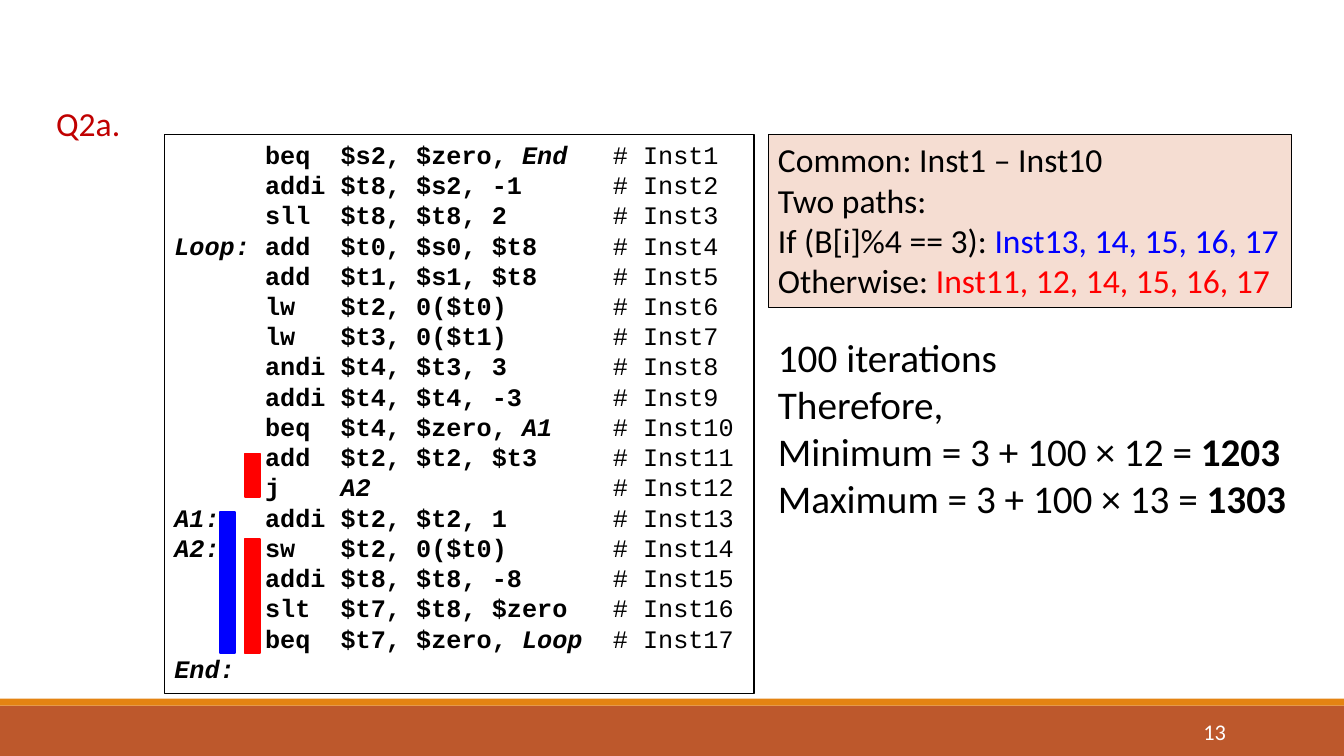
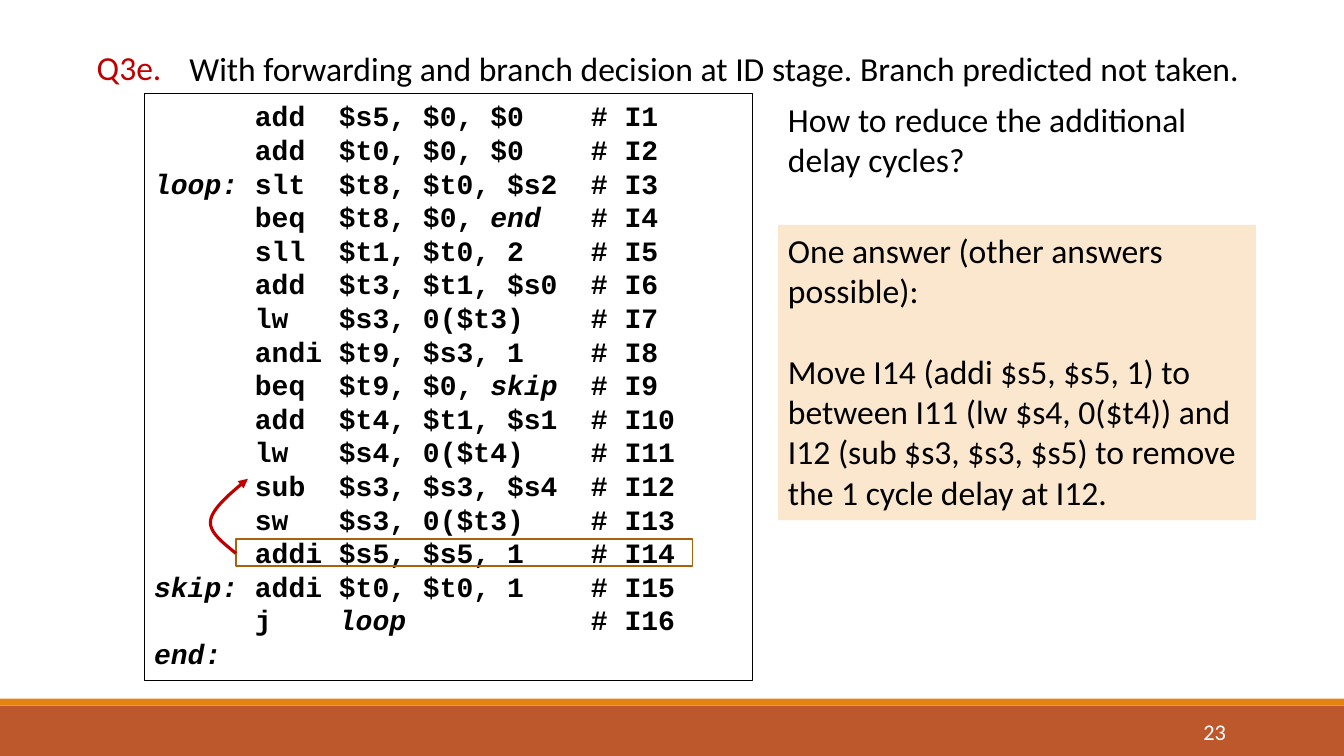
import lxml.etree
import pptx
import pptx.dml.color
import pptx.enum.shapes
import pptx.enum.text
import pptx.oxml.ns
import pptx.util

Pt = pptx.util.Pt
ALIGN = pptx.enum.text.PP_ALIGN
ANCHOR = pptx.enum.text.MSO_ANCHOR
RECT = pptx.enum.shapes.MSO_SHAPE.RECTANGLE
BLACK, WHITE, DARK_RED = "000000", "FFFFFF", "C00000"
BLUE, RED = "0000FF", "FF0000"
BODY, CODE = "Calibri", "Courier New"
LINE_RATIO, CHAR_RATIO = 1.2, 0.6

BANDS = [((0, 504, 960, 36), "BD582C"), ((0, 499, 960, 5), "E48312")]
NUMBER_BOX = (779.8, 508.3, 103, 28.8)

COUNT_CODE = [
    ("", "beq", "$s2, $zero, End"),
    ("", "addi", "$t8, $s2, -1"),
    ("", "sll", "$t8, $t8, 2"),
    ("Loop:", "add", "$t0, $s0, $t8"),
    ("", "add", "$t1, $s1, $t8"),
    ("", "lw", "$t2, 0($t0)"),
    ("", "lw", "$t3, 0($t1)"),
    ("", "andi", "$t4, $t3, 3"),
    ("", "addi", "$t4, $t4, -3"),
    ("", "beq", "$t4, $zero, A1"),
    ("", "add", "$t2, $t2, $t3"),
    ("", "j", "A2"),
    ("A1:", "addi", "$t2, $t2, 1"),
    ("A2:", "sw", "$t2, 0($t0)"),
    ("", "addi", "$t8, $t8, -8"),
    ("", "slt", "$t7, $t8, $zero"),
    ("", "beq", "$t7, $zero, Loop"),
    ("End:", "", ""),
]
PATHS = [
    ["Common: Inst1 – Inst10"],
    ["Two paths:"],
    ["If (B[i]%4 == 3): ", ("Inst13, 14, 15, 16, 17", {"color": BLUE})],
    ["Otherwise: ", ("Inst11, 12, 14, 15, 16, 17", {"color": RED})],
]
TOTALS = [
    ["100 iterations"],
    ["Therefore,"],
    ["Minimum = 3 + 100 × 12 = ", ("1203", {"bold": True})],
    ["Maximum = 3 + 100 × 13 = ", ("1303", {"bold": True})],
]
PATH_BARS = [
    ((157, 365.8, 10.8, 100.8), BLUE),
    ((174.8, 324, 11, 31), RED),
    ((174.6, 385.2, 11, 81.4), RED),
]

DELAY_CODE = [
    ("", "add", "$s5, $0, $0"),
    ("", "add", "$t0, $0, $0"),
    ("loop:", "slt", "$t8, $t0, $s2"),
    ("", "beq", "$t8, $0, end"),
    ("", "sll", "$t1, $t0, 2"),
    ("", "add", "$t3, $t1, $s0"),
    ("", "lw", "$s3, 0($t3)"),
    ("", "andi", "$t9, $s3, 1"),
    ("", "beq", "$t9, $0, skip"),
    ("", "add", "$t4, $t1, $s1"),
    ("", "lw", "$s4, 0($t4)"),
    ("", "sub", "$s3, $s3, $s4"),
    ("", "sw", "$s3, 0($t3)"),
    ("", "addi", "$s5, $s5, 1"),
    ("skip:", "addi", "$t0, $t0, 1"),
    ("", "j", "loop"),
    ("end:", "", ""),
]
CONDITION = [["With forwarding and branch decision at ID stage. Branch predicted not taken."]]
PROMPT = [["How to reduce the additional delay cycles?"]]
ANSWER = [
    ["One answer (other answers possible):"],
    ["Move I14 (addi $s5, $s5, 1) to between I11 (lw $s4, 0($t4)) and "
     "I12 (sub $s3, $s3, $s5) to remove the 1 cycle delay at I12."],
]
MOVE_CURVES = [
    ((168.5, 395.3), (159.1, 387.4), (149, 380.2), (150.5, 371.5)),
    ((150.5, 371.5), (151.9, 362.9), (164.9, 352.1), (177.1, 342)),
]


def pts(values):
    return [Pt(v) for v in values]


def rgb(color):
    return pptx.dml.color.RGBColor.from_string(color)


def add_xml(parent, tag, **attrs):
    return lxml.etree.SubElement(parent, pptx.oxml.ns.qn(tag), attrs)


def write(sp, paragraphs, size=24, font=BODY, color=BLACK, bold=False,
          align=ALIGN.LEFT, anchor=ANCHOR.TOP, gap=0, tabs=()):
    tf = sp.text_frame
    tf.word_wrap = True
    tf.auto_size = pptx.enum.text.MSO_AUTO_SIZE.NONE
    tf.vertical_anchor = anchor
    for i, runs in enumerate(paragraphs):
        p = tf.add_paragraph() if i else tf.paragraphs[0]
        p.alignment = align
        p.line_spacing = Pt(size * LINE_RATIO)
        p.space_before = Pt(gap if i else 0)
        if tabs:
            stops = add_xml(p._p.get_or_add_pPr(), "a:tabLst")
            for tab in tabs:
                add_xml(stops, "a:tab", pos=str(Pt(tab)), algn="l")
        for run in runs:
            text, own = (run, {}) if isinstance(run, str) else run
            r = p.add_run()
            r.text = text
            r.font.name = font
            r.font.size = Pt(size)
            r.font.bold = own.get("bold", bold)
            r.font.italic = own.get("italic", False)
            r.font.color.rgb = rgb(own.get("color", color))
    return sp


def style(sp, fill=None, line=None, width=0.75):
    sp.shadow.inherit = False
    if fill:
        sp.fill.solid()
        sp.fill.fore_color.rgb = rgb(fill)
    else:
        sp.fill.background()
    if line:
        sp.line.color.rgb = rgb(line)
        sp.line.width = Pt(width)
    else:
        sp.line.fill.background()
    return sp


def add_rect(s, box, **look):
    return style(s.shapes.add_shape(RECT, *pts(box)), **look)


def add_text(s, box, paragraphs, **fmt):
    return write(s.shapes.add_textbox(*pts(box)), paragraphs, **fmt)


def add_code(s, box, lines, prefix, size, columns, bold_comments):
    names = {label.rstrip(":") for label, _, _ in lines if label}
    paragraphs = []
    for n, (label, op, args) in enumerate(lines, 1):
        runs = [(label, {"italic": True})] if label else []
        if op:
            head, space, last = args.rpartition(" ")
            runs += [
                f"\t{op}\t{head}{space}",
                (last, {"italic": last in names}),
                (f"\t# {prefix}{n}", {"bold": bold_comments}),
            ]
        paragraphs.append(runs)
    write(add_rect(s, box, line=BLACK), paragraphs, size=size, font=CODE, bold=True,
          tabs=[c * size * CHAR_RATIO for c in columns])


def add_curved_arrow(s, curves, steps=16):
    points = [curves[0][0]]
    for a, b, c, d in curves:
        for i in range(1, steps + 1):
            t = i / steps
            u = 1 - t
            weights = (u ** 3, 3 * u * u * t, 3 * u * t * t, t ** 3)
            points.append(tuple(sum(w * q[k] for w, q in zip(weights, (a, b, c, d)))
                                for k in (0, 1)))
    emu = [pts(point) for point in points]
    builder = s.shapes.build_freeform(*emu[0])
    builder.add_line_segments(emu[1:], close=False)
    sp = style(builder.convert_to_shape(), line=DARK_RED, width=2.25)
    add_xml(sp.element.xpath(".//a:ln")[0], "a:tailEnd", type="triangle")


def new_slide(prs, layout, title, title_box, number):
    s = prs.slides.add_slide(layout)
    sp = s.shapes.title
    sp.left, sp.top, sp.width, sp.height = pts(title_box)
    write(sp, [[title]], color=DARK_RED, align=ALIGN.CENTER)
    add_text(s, NUMBER_BOX, [[str(number)]], size=16, color=WHITE,
             align=ALIGN.RIGHT, anchor=ANCHOR.MIDDLE)
    return s


def build_count_slide(prs, layout):
    s = new_slide(prs, layout, "Q2a.", (27.4, 69.8, 71.3, 36), 13)
    add_code(s, (117.4, 95.8, 421.2, 399.6), COUNT_CODE, "Inst", 18, (6, 11, 29), False)
    write(add_rect(s, (548.6, 95.8, 373.7, 123.8), fill="F5DDD2", line=BLACK), PATHS)
    for box, color in PATH_BARS:
        add_rect(s, box, fill=color, line=color, width=1.25)
    add_text(s, (548.6, 234.7, 390.2, 143.3), TOTALS, size=28)
    return s


def build_delay_slide(prs, layout):
    s = new_slide(prs, layout, "Q3e.", (56.2, 30.2, 72, 36), 23)
    add_code(s, (103, 67, 434.2, 419), DELAY_CODE, "I", 20, (6, 11, 26), True)
    add_text(s, (128.2, 31, 782.6, 36), CONDITION)
    add_text(s, (555.8, 67, 316.8, 65.5), PROMPT)
    write(add_rect(s, (555.8, 160.6, 341.3, 211), fill="FBE6CE"), ANSWER,
          gap=24 * LINE_RATIO)
    add_rect(s, (168.5, 385.2, 326.2, 19.4), line="A9610D", width=1.25)
    add_curved_arrow(s, MOVE_CURVES)


def main():
    prs = pptx.Presentation()
    prs.slide_width, prs.slide_height = Pt(960), Pt(540)
    layout = prs.slide_layouts.get_by_name("Title Only")
    s = build_count_slide(prs, layout)
    for box, color in BANDS:
        layout.shapes.element.append(add_rect(s, box, fill=color).element)
    build_delay_slide(prs, layout)
    prs.save("out.pptx")


if __name__ == "__main__":
    main()
